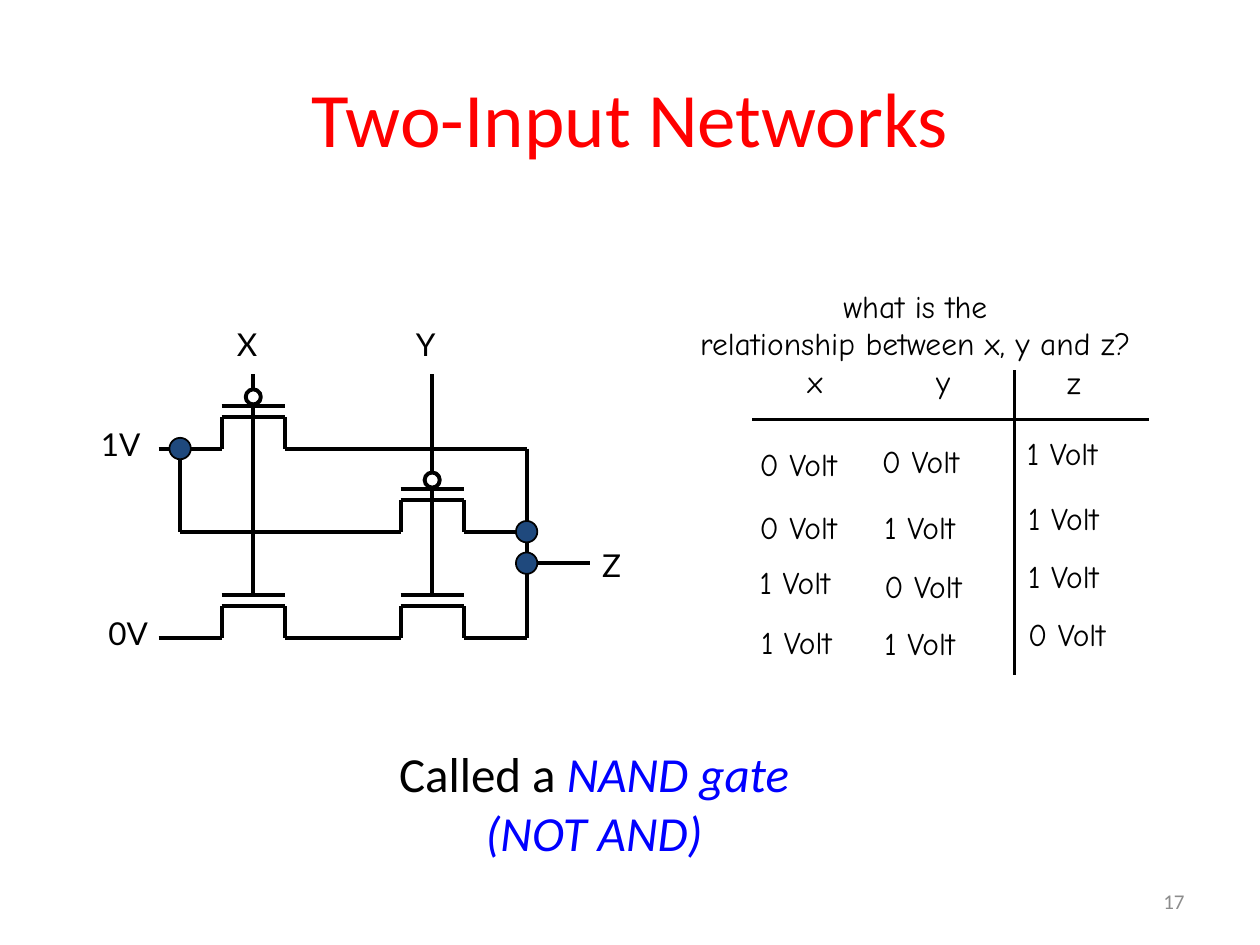
import pptx
import pptx.dml.color
import pptx.enum.shapes
import pptx.enum.text
import pptx.util
from lxml import etree

Inches, Pt = pptx.util.Inches, pptx.util.Pt
ALIGN = pptx.enum.text.PP_ALIGN
ANCHOR = pptx.enum.text.MSO_ANCHOR
BLACK, WHITE, RED, BLUE, NAVY, GRAY = (
    "000000", "FFFFFF", "FF0000", "0000FF", "1F497D", "8C8C8C")

# Content: text
TITLE = "Two-Input Networks"
QUESTION = ["what is the", "relationship between x, y and z?"]
CONCLUSION = [("Called a ", {}), ("NAND gate (NOT AND)", {"color": BLUE, "italic": True})]
PAGE_NUMBER = "17"
CIRCUIT_LABELS = [("1V", 0.78, 3.35), ("0V", 0.84, 4.85), ("X", 1.86, 2.56),
                  ("Y", 3.28, 2.56), ("Z", 4.76, 4.31)]

# Content: truth table, each column as heading, heading place, then (value, left, top)
TRUTH_TABLE = [
    ("x", 6.39, 2.85, [("0", 6.01, 3.51), ("0", 6.01, 4.01), ("1", 6.01, 4.45), ("1", 6.02, 4.92)]),
    ("y", 7.41, 2.85, [("0", 6.98, 3.49), ("1", 7.00, 4.01), ("0", 7.00, 4.48), ("1", 7.00, 4.93)]),
    ("z", 8.45, 2.86, [("1", 8.13, 3.42), ("1", 8.14, 3.94), ("1", 8.14, 4.40), ("0", 8.14, 4.86)]),
]
TABLE_RULES = [(5.97, 3.33, 9.12, 3.33), (8.05, 2.94, 8.05, 5.36)]

# Content: circuit
X_GATE, Y_GATE = 2.01, 3.43
SUPPLY, BRANCH, OUTPUT, GROUND = 3.56, 4.22, 4.47, 5.06
SOURCE, DRAIN, GATE_TOP, GATE_END = 1.43, 4.18, 2.97, 4.56
WIRES = [
    (X_GATE, GATE_TOP, X_GATE, GATE_END),
    (Y_GATE, GATE_TOP, Y_GATE, GATE_END),
    (2.68, SUPPLY, DRAIN, SUPPLY),
    (SOURCE, SUPPLY, SOURCE, BRANCH),
    (SOURCE, BRANCH, 2.68, BRANCH),
    (DRAIN, SUPPLY, DRAIN, GROUND),
    (DRAIN, OUTPUT, 4.68, OUTPUT),
]
# (gate position, channel height, inverting bubble)
TRANSISTORS = [(X_GATE, GROUND, False), (X_GATE, SUPPLY, True),
               (Y_GATE, GROUND, False), (Y_GATE, BRANCH, True)]
JUNCTIONS = [(SOURCE, SUPPLY), (DRAIN, BRANCH), (DRAIN, OUTPUT)]

BODY = {"size": 18, "name": "Calibri", "color": BLACK}
CIRCUIT_FONT = {**BODY, "name": "Lato"}
TABLE_FONT = {**BODY, "name": "Comic Neue"}
LABEL_FRAME = {"word_wrap": False, "margin_left": Inches(0.02), "margin_right": Inches(0.02),
               "margin_top": Inches(0.03), "margin_bottom": Inches(0.03)}
LABEL_PARA = {"line_spacing": Pt(21)}


def rgb(value):
    return pptx.dml.color.RGBColor.from_string(value)


def apply(target, values):
    for name, value in values.items():
        setattr(target, name, value)


def add_text(page, place, paragraphs, font, frame_format=None, para_format=None):
    """Add a text box; each paragraph is a list of (text, font changes)."""
    frame = page.shapes.add_textbox(*map(Inches, place)).text_frame
    apply(frame, {"word_wrap": True, **(frame_format or {})})
    for index, spans in enumerate(paragraphs):
        para = frame.add_paragraph() if index else frame.paragraphs[0]
        apply(para, para_format or {})
        for text, changes in spans:
            span = para.add_run()
            span.text = text
            values = {**font, **changes}
            span.font.color.rgb = rgb(values.pop("color"))
            values["size"] = Pt(values["size"])
            apply(span.font, values)


def add_label(page, text, left, top, font, width=0.4):
    add_text(page, (left, top, width, 0.45), [[(text, {})]], font, LABEL_FRAME, LABEL_PARA)


def add_line(page, ends, weight=2.25):
    line = page.shapes.add_connector(
        pptx.enum.shapes.MSO_CONNECTOR.STRAIGHT, *map(Inches, ends))
    line.line.color.rgb = rgb(BLACK)
    line.line.width = Pt(weight)
    etree.SubElement(line._element.spPr, pptx.oxml.ns.qn("a:effectLst"))


def add_circle(page, center_x, center_y, size, fill, weight):
    circle = page.shapes.add_shape(
        pptx.enum.shapes.MSO_SHAPE.OVAL, Inches(center_x - size / 2),
        Inches(center_y - size / 2), Inches(size), Inches(size))
    circle.shadow.inherit = False
    circle.fill.solid()
    circle.fill.fore_color.rgb = rgb(fill)
    circle.line.color.rgb = rgb(BLACK)
    circle.line.width = Pt(weight)


def add_transistor(page, gate, base, inverting):
    left, right = gate - 0.25, gate + 0.25
    channel, plate = base - 0.25, base - 0.34
    outline = [(left - 0.5, base), (left, base), (left, channel),
               (right, channel), (right, base), (right + 0.5, base)]
    for start, end in zip(outline, outline[1:]):
        add_line(page, start + end)
    add_line(page, (left, plate, right, plate))
    add_line(page, (gate, plate, gate, plate - 0.25))
    if inverting:
        add_circle(page, gate, base - 0.41, 0.12, WHITE, 2.25)


def main():
    deck = pptx.Presentation()
    deck.slide_width, deck.slide_height = Inches(10), Inches(7.5)
    page = deck.slides.add_slide(deck.slide_layouts[6])

    # Title and question
    add_text(page, (0.5, 0.3, 9, 1.25), [[(TITLE, {})]], {**BODY, "size": 44, "color": RED},
             {"vertical_anchor": ANCHOR.MIDDLE}, {"alignment": ALIGN.CENTER})
    add_text(page, (5.4, 2.26, 3.73, 1.03), [[(text, {})] for text in QUESTION], TABLE_FONT,
             LABEL_FRAME, {**LABEL_PARA, "alignment": ALIGN.CENTER})

    # Circuit
    for wire in WIRES:
        add_line(page, wire)
    for transistor in TRANSISTORS:
        add_transistor(page, *transistor)
    for junction in JUNCTIONS:
        add_circle(page, *junction, 0.17, NAVY, 1)
    for label in CIRCUIT_LABELS:
        add_label(page, *label, CIRCUIT_FONT)

    # Truth table
    for rule in TABLE_RULES:
        add_line(page, rule, 2)
    for heading, heading_left, heading_top, values in TRUTH_TABLE:
        add_label(page, heading, heading_left, heading_top, TABLE_FONT)
        for value, left, top in values:
            add_label(page, f"{value} Volt", left, top, TABLE_FONT, 0.97)

    # Conclusion and page number
    add_text(page, (2.95, 5.85, 3.53, 1.04), [CONCLUSION], {**BODY, "size": 28},
             para_format={"alignment": ALIGN.CENTER})
    add_text(page, (7.17, 6.95, 2.33, 0.4), [[(PAGE_NUMBER, {})]],
             {**BODY, "size": 12, "color": GRAY},
             {"vertical_anchor": ANCHOR.MIDDLE}, {"alignment": ALIGN.RIGHT})

    deck.save("out.pptx")


if __name__ == "__main__":
    main()
